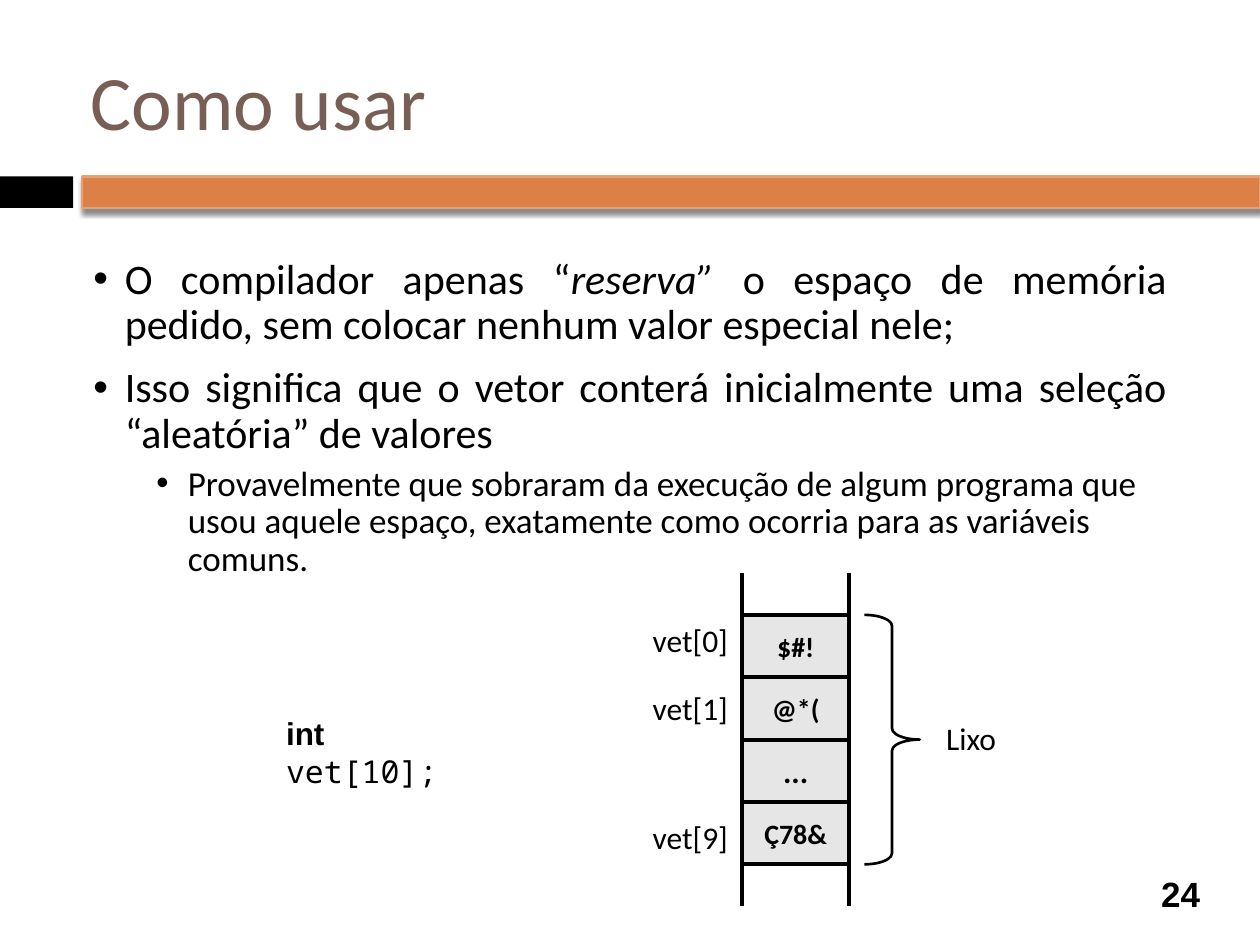
from dataclasses import dataclass

from lxml import etree
from pptx import Presentation
from pptx.dml.color import RGBColor
from pptx.enum.shapes import MSO_CONNECTOR, MSO_SHAPE
from pptx.enum.text import MSO_ANCHOR, MSO_AUTO_SIZE, PP_ALIGN
from pptx.oxml import parse_xml
from pptx.oxml.ns import nsdecls, qn
from pptx.util import Inches, Pt

RECT, BRACE = MSO_SHAPE.RECTANGLE, MSO_SHAPE.RIGHT_BRACE
STRAIGHT = MSO_CONNECTOR.STRAIGHT
TOP, MIDDLE = MSO_ANCHOR.TOP, MSO_ANCHOR.MIDDLE
LEFT, CENTER, JUSTIFY = PP_ALIGN.LEFT, PP_ALIGN.CENTER, PP_ALIGN.JUSTIFY
NO_FIT = MSO_AUTO_SIZE.NONE


@dataclass(frozen=True)
class Theme:
    """Colours, fonts and type sizes of the slide."""
    ink: str = "000000"
    title: str = "775F55"
    bar: str = "DD8047"
    bar_edge: str = "E5A075"
    cell: str = "E7E6E6"
    font: str = "Calibri"
    sans: str = "Arial"
    mono: str = "Noto Sans Mono"
    title_size: int = 44
    body_size: int = 24
    sub_size: int = 20
    label_size: int = 18
    cell_size: int = 16


T = Theme()


def put_text(p, text, size=T.label_size, font=T.font, color=T.ink, bold=False, italic=False):
    """Add one formatted run to a paragraph."""
    r = p.add_run()
    r.text = text
    f = r.font
    f.size, f.name, f.bold, f.italic = Pt(size), font, bold, italic
    f.color.rgb = RGBColor.from_string(color)


def frame(sp, anchor=TOP, wrap=True, align=LEFT):
    """Prepare a text frame and return its first paragraph."""
    tf = sp.text_frame
    tf.auto_size, tf.word_wrap, tf.vertical_anchor = NO_FIT, wrap, anchor
    tf.margin_left = tf.margin_right = tf.margin_top = tf.margin_bottom = Inches(0.05)
    p = tf.paragraphs[0]
    p.alignment = align
    return p


def place(sp, box):
    """Move a shape to a box given in inches."""
    sp.left, sp.top, sp.width, sp.height = map(Inches, box)


def add_label(s, box, text, anchor=TOP, wrap=False, align=LEFT, **fmt):
    """Add a text box and return its paragraph."""
    p = frame(s.shapes.add_textbox(*map(Inches, box)), anchor, wrap, align)
    put_text(p, text, **fmt)
    return p


def add_box(s, box, fill=None, line=None, width=1.5, kind=RECT):
    """Add a preset shape with flat fill and line."""
    sp = s.shapes.add_shape(kind, *map(Inches, box))
    sp.shadow.inherit = False
    if fill:
        sp.fill.solid()
        sp.fill.fore_color.rgb = RGBColor.from_string(fill)
    else:
        sp.fill.background()
    if line:
        sp.line.color.rgb = RGBColor.from_string(line)
        sp.line.width = Pt(width)
    else:
        sp.line.fill.background()
    return sp


def add_line(s, x, y1, y2):
    """Add a vertical rail."""
    c = s.shapes.add_connector(STRAIGHT, *map(Inches, (x, y1, x, y2)))
    c.line.color.rgb = RGBColor.from_string(T.ink)
    c.line.width = Pt(2.25)
    etree.SubElement(c._element.spPr, qn("a:effectLst"))


def add_shadow(sp):
    """Give a shape a soft shadow below."""
    effects = sp._element.spPr.find(qn("a:effectLst"))
    effects.append(parse_xml(
        f'<a:outerShdw {nsdecls("a")} blurRad="{Pt(3)}" dist="{Pt(2.4)}" dir="5400000" '
        'rotWithShape="0"><a:srgbClr val="000000"><a:alpha val="45000"/></a:srgbClr>'
        '</a:outerShdw>'))


def add_bullet(p, left):
    """Give a paragraph a hanging round bullet."""
    pPr = p._p.get_or_add_pPr()
    pPr.set("marL", str(Inches(left)))
    pPr.set("indent", str(Inches(-0.25)))
    etree.SubElement(pPr, qn("a:buFont"), typeface=T.sans)
    etree.SubElement(pPr, qn("a:buChar"), char="•")


def header_band(s, box):
    """Draw the black tab and the orange bar."""
    x, y, w, h = box
    tab, start = 0.058 * w, 0.065 * w
    add_box(s, (x, y, tab, h), T.ink)
    add_shadow(add_box(s, (x + start, y, w - start, h), T.bar, T.bar_edge))


def title(s, box, text):
    """Fill the title placeholder."""
    sp = s.shapes.title
    place(sp, box)
    put_text(frame(sp, MIDDLE), text, size=T.title_size, color=T.title)


def body(s, box, items):
    """Fill the body placeholder with (level, runs) items."""
    sp = s.placeholders[1]
    place(sp, box)
    p = frame(sp)
    for i, (level, runs) in enumerate(items):
        p = p if i == 0 else sp.text_frame.add_paragraph()
        p.level, p.line_spacing = level, 0.9
        p.alignment = LEFT if level else JUSTIFY
        p.space_before = Pt(5 if level else 10)
        add_bullet(p, 0.25 + 0.5 * level)
        for text, italic in runs:
            put_text(p, text, size=T.sub_size if level else T.body_size, italic=italic)


def memory(s, box, cells, labels, note):
    """Draw a memory column with rails, index labels and a brace."""
    x, y, w, h = box
    row = h / len(cells)
    for i, (text, size) in enumerate(cells):
        sp = add_box(s, (x, y + i * row, w, row), T.cell, T.ink, 2.25)
        put_text(frame(sp, MIDDLE, align=CENTER), text, size=size, bold=True)
    for rail in (x, x + w):
        for end in (y, y + h + row * 2 / 3):
            add_line(s, rail, end, end - row * 2 / 3)
    for text, offset in labels:
        add_label(s, (x - 0.76, y + offset * row, 0.71, 0.36), text)
    brace = add_box(s, (x + w + 0.12, y, 0.44, h), None, T.ink, kind=BRACE)
    brace.adjustments[0] = 0.2
    add_label(s, (x + w + 0.72, y + h / 2 - 0.21, 0.51, 0.36), note)


def code(s, box, keyword, rest):
    """Write a declaration with a bold keyword."""
    p = add_label(s, box, keyword, wrap=True, font=T.sans, bold=True)
    put_text(p, rest, font=T.mono)


def main():
    """Build and save the slide."""
    prs = Presentation()
    prs.slide_width, prs.slide_height = Inches(10), Inches(7.5)
    s = prs.slides.add_slide(prs.slide_layouts[1])
    header_band(s, (0, 1.4, 10, 0.25))
    title(s, (0.67, 0.25, 8.92, 1.08), "Como usar")
    body(s, (0.69, 2, 8.62, 4.76), [
        (0, [("O compilador apenas “", False), ("reserva” ", True),
             ("o espaço de memória pedido, sem colocar nenhum valor especial nele;", False)]),
        (0, [("Isso significa que o vetor conterá inicialmente uma seleção "
              "“aleatória” de valores", False)]),
        (1, [("Provavelmente que sobraram da execução de algum programa que usou aquele "
              "espaço, exatamente como ocorria para as variáveis comuns.", False)]),
    ])
    memory(s, (5.89, 4.88, 0.85, 1.98),
           [("$#!", T.cell_size), ("@*(", T.cell_size),
            ("...", T.label_size), ("Ç78&", T.cell_size)],
           [("vet[0]", 0), ("vet[1]", 1.09), ("vet[9]", 3.15)], "Lixo")
    code(s, (2.22, 5.62, 1.31, 0.41), "int", " vet[10];")
    add_label(s, (9.08, 6.89, 0.58, 0.41), "24", anchor=MIDDLE, wrap=True, align=CENTER,
              size=T.sub_size, font=T.sans, bold=True)
    prs.save("out.pptx")


if __name__ == "__main__":
    main()
